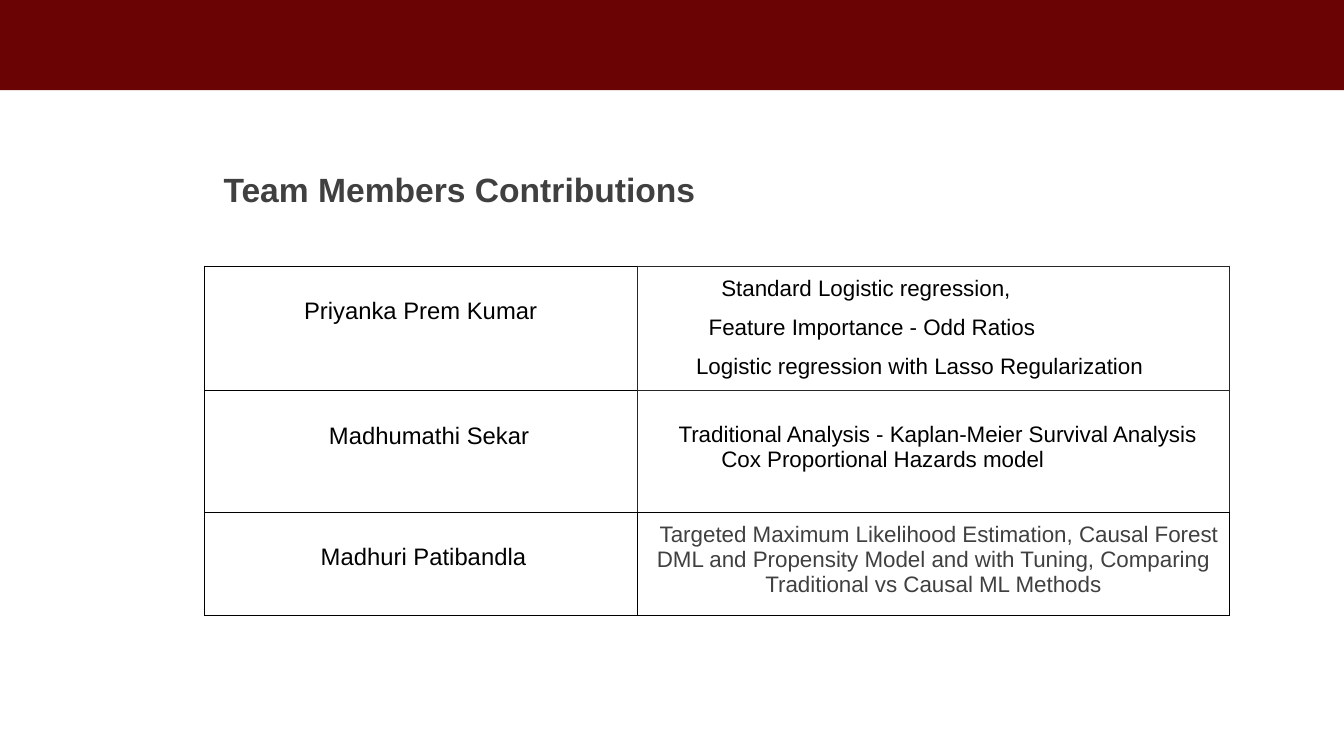
from dataclasses import dataclass

from lxml.etree import SubElement
from pptx import Presentation
from pptx.dml.color import RGBColor
from pptx.enum.shapes import MSO_SHAPE
from pptx.enum.text import MSO_ANCHOR, PP_ALIGN
from pptx.oxml.ns import qn
from pptx.util import Pt


@dataclass(frozen=True)
class Theme:
    font: str = "Arial"
    banner: str = "690304"
    heading: str = "404041"
    ink: str = "000000"
    edge: str = "262626"
    title_size: int = 24
    name_size: int = 17
    body_size: int = 16
    border: float = 0.75


class SlideBuilder:
    def __init__(self, prs, theme):
        self.theme = theme
        self.s = prs.slides.add_slide(prs.slide_layouts[6])

    def bar(self, x, y, w, h, color):
        sp = self.s.shapes.add_shape(MSO_SHAPE.RECTANGLE, Pt(x), Pt(y), Pt(w), Pt(h))
        sp.shadow.inherit = False
        sp.fill.solid()
        sp.fill.fore_color.rgb = RGBColor.from_string(color)
        sp.line.fill.background()

    def paragraph(self, p, text, size, color, bold=False, margin=0, indent=0, **fmt):
        pPr = p._p.get_or_add_pPr()
        pPr.set("marL", str(Pt(margin)))
        pPr.set("indent", str(Pt(indent)))
        for key, value in fmt.items():
            setattr(p, key, value)
        r = p.add_run()
        r.text = text
        font = {"name": self.theme.font, "size": Pt(size), "bold": bold}
        for key, value in font.items():
            setattr(r.font, key, value)
        r.font.color.rgb = RGBColor.from_string(color)

    def title(self, x, y, w, h, text):
        tf = self.s.shapes.add_textbox(Pt(x), Pt(y), Pt(w), Pt(h)).text_frame
        tf.word_wrap = True
        tf.vertical_anchor = MSO_ANCHOR.MIDDLE
        self.paragraph(tf.paragraphs[0], text, self.theme.title_size,
                       self.theme.heading, bold=True, line_spacing=0.9)

    def borders(self, cell, colors):
        tcPr = cell._tc.get_or_add_tcPr()
        for i, (side, color) in enumerate(zip("LRTB", colors)):
            ln = SubElement(tcPr, qn(f"a:ln{side}"), w=str(Pt(self.theme.border)))
            SubElement(SubElement(ln, qn("a:solidFill")), qn("a:srgbClr"), val=color)
            tcPr.insert(i, ln)

    def cell(self, cell, lines, top, colors):
        margins = {"margin_left": 7.2, "margin_right": 7.2,
                   "margin_top": top, "margin_bottom": 4}
        for key, value in margins.items():
            setattr(cell, key, Pt(value))
        cell.fill.background()
        self.borders(cell, colors)
        tf = cell.text_frame
        for i, line in enumerate(lines):
            p = tf.add_paragraph() if i else tf.paragraphs[0]
            self.paragraph(p, **line)

    def table(self, x, y, widths, heights, rows):
        t = self.theme
        shape = self.s.shapes.add_table(len(heights), len(widths), Pt(x), Pt(y),
                                        Pt(sum(widths)), Pt(sum(heights)))
        tbl = shape.table
        tbl.first_row = tbl.horz_banding = False
        for column, width in zip(tbl.columns, widths):
            column.width = Pt(width)
        for row, height in zip(tbl.rows, heights):
            row.height = Pt(height)
        last = len(rows) - 1
        for i, (name, shift, top, tasks) in enumerate(rows):
            label = {"text": name, "size": t.name_size, "color": t.ink,
                     "margin": shift, "alignment": PP_ALIGN.CENTER}
            side = t.ink if i == last else t.edge
            above = t.edge if i < last else t.ink
            below = t.edge if i == 0 else t.ink
            self.cell(tbl.cell(i, 0), [label], 23, [t.ink, side, t.ink, t.ink])
            self.cell(tbl.cell(i, 1), tasks, top, [side, side, above, below])


def main():
    prs = Presentation()
    prs.slide_width, prs.slide_height = Pt(960), Pt(540)
    t = Theme()
    slide = SlideBuilder(prs, t)

    slide.bar(-6, -1.5, 971, 66, t.banner)
    slide.title(152.6, 96, 420, 82, "Team Members Contributions")

    body = {"size": t.body_size, "color": t.ink}
    centered = {**body, "alignment": PP_ALIGN.CENTER}
    spaced = {**body, "space_before": Pt(10)}
    slide.table(146, 190, [309, 423.5], [87, 87, 74], [
        ("Priyanka Prem Kumar", 0, 7.2, [
            {**body, "text": "Standard Logistic regression,", "margin": 53},
            {**spaced, "text": "Feature Importance - Odd Ratios", "margin": 44},
            {**spaced, "text": "Logistic regression with Lasso Regularization",
             "margin": 35},
        ]),
        ("Madhumathi Sekar", 12, 23, [
            {**centered, "text": "Traditional Analysis - Kaplan-Meier Survival Analysis",
             "margin": 6},
            {**body, "text": "Cox Proportional Hazards model", "margin": 53},
        ]),
        ("Madhuri Patibandla", 4, 7.2, [
            {**centered, "color": t.heading, "indent": 8,
             "text": "Targeted Maximum Likelihood Estimation, Causal Forest DML and "
                     "Propensity Model and with Tuning, Comparing Traditional vs "
                     "Causal ML Methods"},
        ]),
    ])
    prs.save("out.pptx")


if __name__ == "__main__":
    main()
